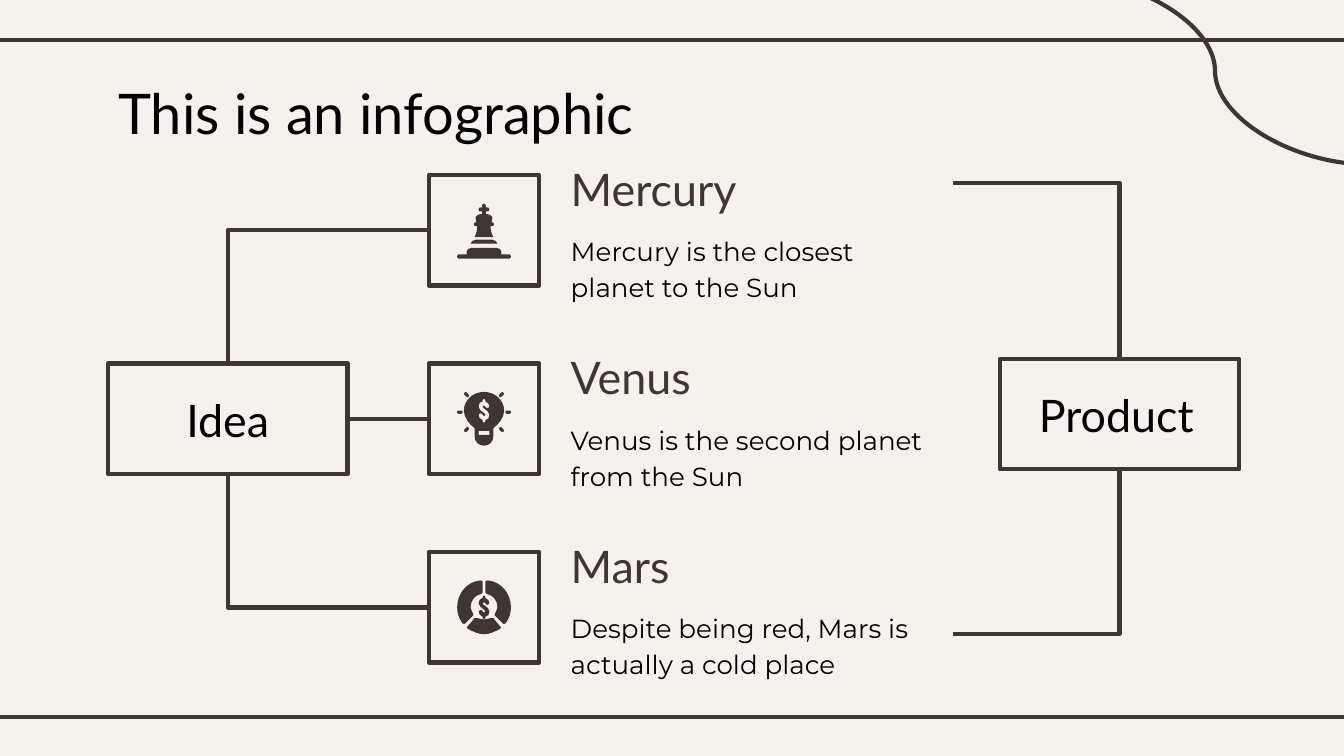
from dataclasses import dataclass

from lxml.etree import SubElement
from pptx import Presentation
from pptx.dml.color import RGBColor
from pptx.enum.shapes import MSO_CONNECTOR, MSO_SHAPE
from pptx.enum.text import MSO_ANCHOR, MSO_AUTO_SIZE, PP_ALIGN
from pptx.oxml.ns import qn
from pptx.util import Pt


@dataclass(frozen=True)
class Theme:
    paper: RGBColor = RGBColor(0xF5, 0xF2, 0xEE)
    ink: RGBColor = RGBColor(0x3F, 0x35, 0x33)
    black: RGBColor = RGBColor(0, 0, 0)
    heading_font: str = "Lato"
    body_font: str = "Montserrat"
    title_size: int = 30
    heading_size: int = 24
    body_size: int = 14
    stroke: float = 2.25


THEME = Theme()
WIDTH, HEIGHT = 720, 405
MARGIN = 7.2
GRID = 0.72  # one icon unit, in points
BOX_HEIGHT, LABEL_WIDTH = 59.2, 128.2
ROW_TOP, ROW_PITCH = 93.8, 101

# Icon outlines in icon units: pairs are points, sixes are Bézier curves
BASE_HALF = [(0, 13), (9, 13), (11, 13, 13, 14, 13, 17), (13, 18), (19, 18),
             (20.3, 18, 20.3, 21, 19, 21), (0, 21)]
STEP_HALF = [(0, 7), (6, 7), (8, 7, 10, 8.5, 10, 10), (0, 10)]
KING_HALF = [(0, -20), (1, -20, 1.4, -19, 1.4, -18), (1.4, -17), (3, -17),
             (4.3, -17, 4.3, -14, 3, -14), (1.4, -14), (1.4, -12), (3, -12),
             (5, -12, 7, -10, 6, -8), (6, -7, 6, -6, 5, -6), (6, -6),
             (8, -6, 8, -3, 6, -3), (5, -3), (5, 0, 5.5, 2, 7, 5), (0, 5)]
BULB_HALF = [(0, -20), (8, -20, 15, -14, 15, -6), (15, -1, 11, 4, 7, 7),
             (7, 13), (7, 17, 4, 20, 0, 20)]
BULB_WINDOW = [(-4, 9), (4, 9), (4, 12), (-4, 12)]
RING_SIDE = [(3, -20), (2, -20, 1, -20, 1, -19), (1, -11), (1, -10, 2, -10, 2, -10),
             (7, -9, 10, -5, 10, 0), (10, 1, 9, 3, 8, 5), (8, 5, 8, 6, 8, 6),
             (14, 12), (14, 12.5, 15, 12.5, 16, 12), (19, 8, 20, 4, 20, 0),
             (20, -10, 13, -19, 3, -20)]
RING_FOOT_HALF = [(0, 9), (2, 9, 3, 9, 5, 8), (6, 8, 6, 8, 7, 8), (12, 14),
                  (13, 14, 13, 15, 12, 16), (8, 18, 4, 20, 0, 20)]
DOLLAR_HALF = [(0, -9), (-1, -9, -1, -9, -1, -8), (-1, -7), (-3, -7, -4, -5, -4, -3),
               (-4, -1, -2, 0, -1, 1), (0, 2, 1, 2, 1, 3), (1, 4, 1, 4, 0, 4),
               (-1, 4, -1, 4, -1, 3), (-1, 2, -2, 2, -3, 2), (-3, 2, -4, 2, -4, 3),
               (-4, 5, -3, 6, -1, 7), (-1, 8), (-1, 8, -1, 9, 0, 9)]


def pairs(part):
    return list(zip(part[::2], part[1::2]))


def moved(outline, x_scale=1, y_scale=1, dy=0):
    return [tuple(value for x, y in pairs(part) for value in (x * x_scale, y * y_scale + dy))
            for part in outline]


def symmetric(half):
    """Close a right half with its mirror image, drawn backwards."""
    mirror = moved(half, x_scale=-1)
    back = []
    for before, part in zip(mirror[-2::-1], mirror[:0:-1]):
        controls = pairs(part)[:-1][::-1] + [before[-2:]]
        back.append(tuple(value for point in controls for value in point))
    return half + back


def dollar(center_y=0):
    turned = moved(DOLLAR_HALF, -1, -1)[1:]
    return moved(DOLLAR_HALF + turned, dy=center_y)


def paint(shape):
    shape.shadow.inherit = False
    shape.fill.solid()
    shape.fill.fore_color.rgb = THEME.ink
    shape.line.fill.background()


def add_outline(slide, center, *contours):
    """Draw closed contours as one shape; inner contours are holes."""
    builder = None
    for contour in contours:
        start, *points = [(Pt(center[0] + x * GRID), Pt(center[1] + y * GRID))
                          for part in contour for x, y in pairs(part)]
        if builder is None:
            builder = slide.shapes.build_freeform(*start, scale=1.0)
        else:
            builder.move_to(*start)
        builder.add_line_segments(points, close=True)
    shape = builder.convert_to_shape()
    # Join the three points of each curve into one Bézier segment
    segments = iter(list(shape._element.iter(qn("a:lnTo"))))
    for part in (part for contour in contours for part in contour[1:]):
        group = [next(segments) for _ in pairs(part)]
        if len(group) == 3:
            curve = SubElement(group[0].getparent(), qn("a:cubicBezTo"))
            group[0].addprevious(curve)
            for segment in group:
                curve.append(segment[0])
                segment.getparent().remove(segment)
    paint(shape)


def draw_king(slide, center):
    for half in (BASE_HALF, KING_HALF, STEP_HALF):
        add_outline(slide, center, symmetric(half))


def draw_bulb(slide, center):
    add_outline(slide, center, symmetric(BULB_HALF), dollar(-6), BULB_WINDOW)
    length, thickness = 4.2 * GRID, 2.4 * GRID
    for side in (-1, 1):
        for x, y, angle in ((18, -5, 0), (13, -18, -45), (13, 8, 45)):
            ray = slide.shapes.add_shape(
                MSO_SHAPE.ROUNDED_RECTANGLE,
                Pt(center[0] + side * x * GRID - length / 2),
                Pt(center[1] + y * GRID - thickness / 2), Pt(length), Pt(thickness))
            ray.adjustments[0] = 0.5
            ray.rotation = side * angle
            paint(ray)


def draw_ring(slide, center):
    for contour in (RING_SIDE, moved(RING_SIDE, x_scale=-1),
                    symmetric(RING_FOOT_HALF), dollar()):
        add_outline(slide, center, contour)


def write(holder, text, size, color, font=THEME.heading_font, align=PP_ALIGN.LEFT):
    frame = holder.text_frame
    frame.text = text
    frame.word_wrap = True
    frame.auto_size = MSO_AUTO_SIZE.NONE
    frame.vertical_anchor = MSO_ANCHOR.TOP
    frame.margin_left = frame.margin_right = Pt(MARGIN)
    frame.margin_top = frame.margin_bottom = Pt(MARGIN)
    paragraph = frame.paragraphs[0]
    paragraph.alignment = align
    run_font = paragraph.runs[0].font
    run_font.name, run_font.size, run_font.color.rgb = font, Pt(size), color
    return paragraph


def add_text(slide, box, *style, **options):
    return write(slide.shapes.add_textbox(*map(Pt, box)), *style, **options)


def add_line(slide, start, end, kind=MSO_CONNECTOR.STRAIGHT, bend=None):
    """Draw a connector; bend is where an elbow turns, from 0 to 1."""
    line = slide.shapes.add_connector(kind, *map(Pt, (*start, *end)))
    line.line.color.rgb = THEME.ink
    line.line.width = Pt(THEME.stroke)
    properties = line._element.spPr
    SubElement(properties, qn("a:effectLst"))
    if bend is not None:
        guides = properties.find(qn("a:prstGeom")).get_or_add_avLst()
        SubElement(guides, qn("a:gd"), name="adj1", fmla=f"val {bend * 100000}")
    return line


def add_frame(slide, box, kind=MSO_SHAPE.RECTANGLE):
    frame = slide.shapes.add_shape(kind, *map(Pt, box))
    if kind == MSO_SHAPE.ROUNDED_RECTANGLE:
        frame.adjustments[0] = 0
    frame.shadow.inherit = False
    frame.fill.background()
    frame.line.color.rgb = THEME.ink
    frame.line.width = Pt(THEME.stroke)
    return frame


def backdrop(slide):
    slide.background.fill.solid()
    slide.background.fill.fore_color.rgb = THEME.paper
    for y in (21.5, 384):
        add_line(slide, (-6, y), (WIDTH + 6, y))
    add_line(slide, (567.4, -12.2), (734.4, 88.2), MSO_CONNECTOR.CURVE)


def heading(slide, box):
    title = slide.shapes.title
    title.left, title.top, title.width, title.height = map(Pt, box)
    write(title, "This is an infographic", THEME.title_size, THEME.black)


def stage(slide, left, top, name, text_left, text_top, align):
    """A framed stage name; text offsets are from the frame."""
    frame = add_frame(slide, (left, top, LABEL_WIDTH, BOX_HEIGHT), MSO_SHAPE.ROUNDED_RECTANGLE)
    add_text(slide, (left + text_left, top + text_top, 101.5, 45.4), name,
             THEME.heading_size, THEME.black, align=align)
    return frame


def planet_row(slide, left, top, name, description, draw_icon):
    frame = add_frame(slide, (left, top, BOX_HEIGHT, BOX_HEIGHT))
    draw_icon(slide, (left + BOX_HEIGHT / 2, top + BOX_HEIGHT / 2))
    text_left, text_width = left + 69, 211.7
    add_text(slide, (text_left, top - 14.6, text_width, 37.4), name,
             THEME.heading_size, THEME.ink)
    detail = add_text(slide, (text_left, top + 22.7, text_width, 42.5), description,
                      THEME.body_size, THEME.black, THEME.body_font)
    detail.line_spacing = 1.15
    detail.space_after = Pt(12)
    return frame


def main():
    deck = Presentation()
    deck.slide_width, deck.slide_height = Pt(WIDTH), Pt(HEIGHT)
    slide = deck.slides.add_slide(deck.slide_layouts[5])
    backdrop(slide)
    heading(slide, (56.2, 35, 607.6, 45.4))

    # Stages at both ends and the planets between them
    idea_left, icon_left, product_left, product_top = 58, 229.7, 535.7, 192.3
    idea_top = ROW_TOP + ROW_PITCH
    idea = stage(slide, idea_left, idea_top, "Idea", 13.2, 8.3, PP_ALIGN.CENTER)
    stage(slide, product_left, product_top, "Product", 13.7, 8.2, PP_ALIGN.LEFT)
    planets = [
        ("Mercury", "Mercury is the closest planet to the Sun", draw_king),
        ("Venus", "Venus is the second planet from the Sun", draw_bulb),
        ("Mars", "Despite being red, Mars is actually a cold place", draw_ring),
    ]
    frames = [planet_row(slide, icon_left, ROW_TOP + row * ROW_PITCH, *planet)
              for row, planet in enumerate(planets)]

    # Links from the idea to each planet
    idea_middle = idea_left + LABEL_WIDTH / 2
    middle = idea_top + BOX_HEIGHT / 2
    link = add_line(slide, (idea_left + LABEL_WIDTH, middle), (icon_left, middle))
    link.begin_connect(idea, 3)
    link.end_connect(frames[1], 1)
    for edge, y in ((idea_top, middle - ROW_PITCH), (idea_top + BOX_HEIGHT, middle + ROW_PITCH)):
        add_line(slide, (idea_middle, edge), (icon_left, y), MSO_CONNECTOR.ELBOW, bend=0)

    # Links from the outer planets to the product
    product_middle = product_left + LABEL_WIDTH / 2
    for y, edge in ((98, product_top), (339.7, product_top + BOX_HEIGHT)):
        add_line(slide, (510.5, y), (product_middle, edge), MSO_CONNECTOR.ELBOW, bend=1)

    deck.save("out.pptx")


if __name__ == "__main__":
    main()
